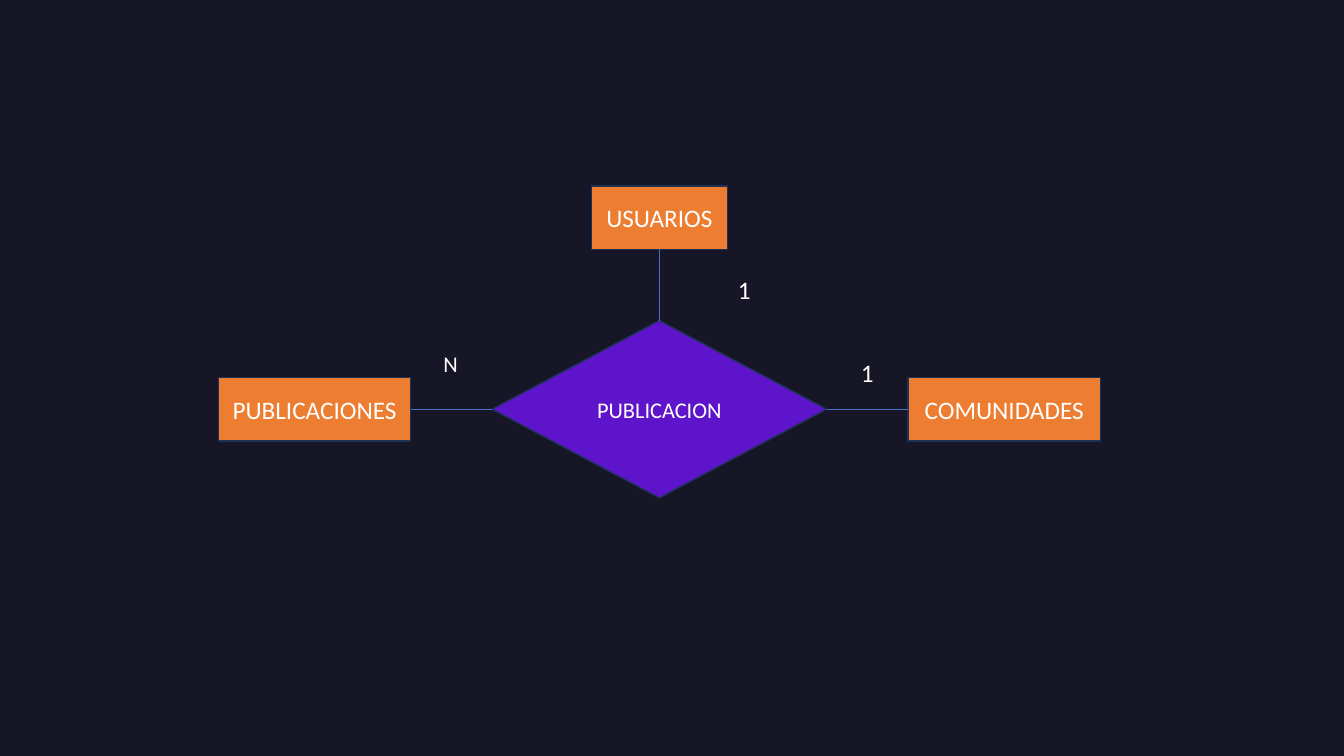
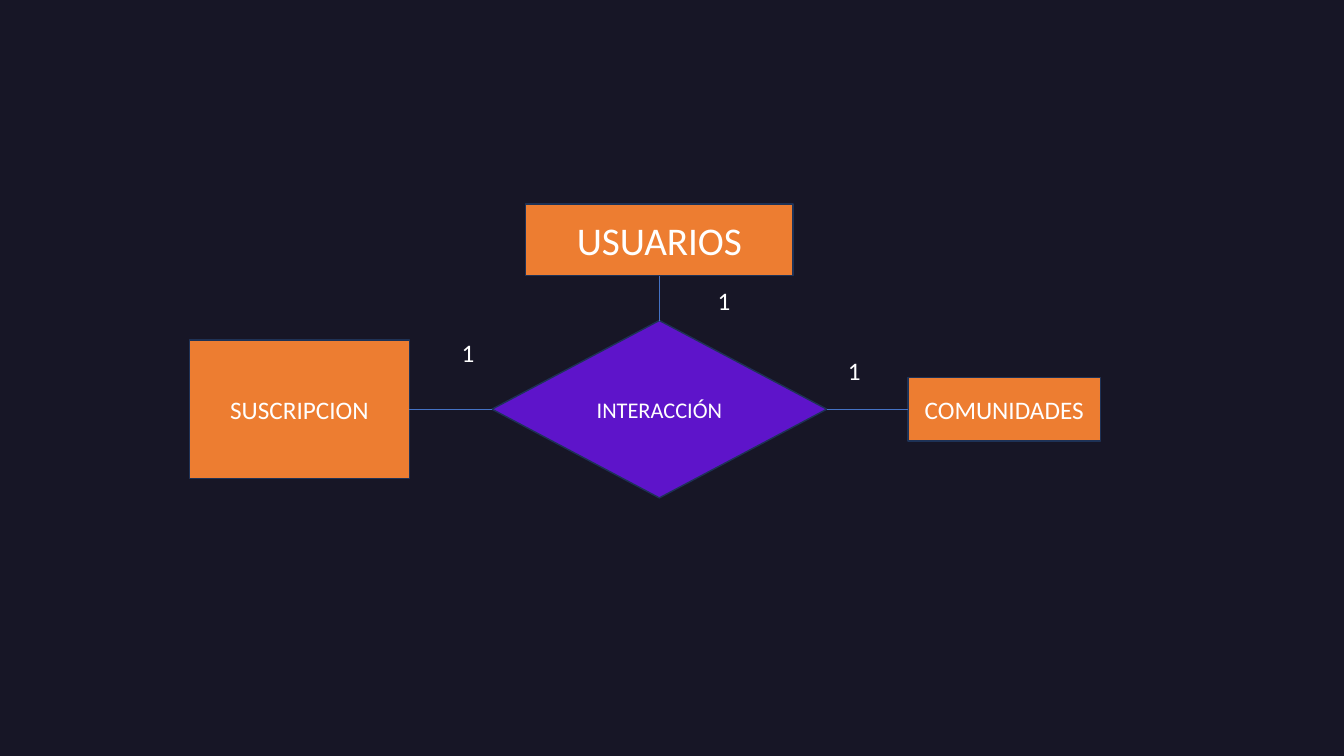
"""Build two entity-relationship diagrams, one per slide."""
from lxml import etree
from pptx import Presentation
from pptx import util as u
from pptx.dml import color
from pptx.enum import shapes, text
from pptx.oxml import ns

COLORS = {
    "background": "171626",
    "entity": "ED7D31",
    "relation": "5E14CA",
    "outline": "1E3256",
    "connector": "4472C4",
    "text": "FFFFFF",
}
FONT = "Calibri"
AXIS_X, AXIS_Y = 6.54, 4.06
TOP, LEFT, BOTTOM, RIGHT = range(4)


def rgb(name):
    """Return the palette colour with this name."""
    return color.RGBColor.from_string(COLORS[name])


def write(shape, words, size, alignment):
    """Put one styled paragraph into a shape."""
    shape.text_frame.word_wrap = True
    paragraph = shape.text_frame.paragraphs[0]
    paragraph.text = words
    paragraph.alignment = alignment
    paragraph.font.name = FONT
    paragraph.font.size = u.Pt(size)
    paragraph.font.color.rgb = rgb("text")


def add_node(slide, preset, fill, words, center, extent, size):
    """Add a filled shape around a centre point."""
    (x, y), (width, height) = center, extent
    node = slide.shapes.add_shape(
        preset, u.Inches(x - width / 2), u.Inches(y - height / 2),
        u.Inches(width), u.Inches(height))
    node.shadow.inherit = False
    node.fill.solid()
    node.fill.fore_color.rgb = rgb(fill)
    node.line.color.rgb = rgb("outline")
    node.line.width = u.Pt(1)
    node.text_frame.vertical_anchor = text.MSO_ANCHOR.MIDDLE
    write(node, words, size, text.PP_ALIGN.CENTER)
    return node


def add_entity(slide, words, center, extent, size=18):
    """Add an entity rectangle."""
    return add_node(slide, shapes.MSO_SHAPE.RECTANGLE, "entity",
                    words, center, extent, size)


def add_relation(slide, words):
    """Add the relationship diamond at the crossing of the axes."""
    return add_node(slide, shapes.MSO_SHAPE.DIAMOND, "relation",
                    words, (AXIS_X, AXIS_Y), (3.32, 1.76), 16)


def connect(slide, relation, relation_side, entity, entity_side):
    """Join a diamond corner to the middle of an entity's side."""
    connector = slide.shapes.add_connector(
        shapes.MSO_CONNECTOR.STRAIGHT, 0, 0, 0, 0)
    connector.begin_connect(relation, relation_side)
    connector.end_connect(entity, entity_side)
    connector.line.color.rgb = rgb("connector")
    connector.line.width = u.Pt(0.5)
    etree.SubElement(connector._element.spPr, ns.qn("a:effectLst"))


def add_cardinality(slide, words, left, top, size=18):
    """Add a cardinality label."""
    label = slide.shapes.add_textbox(
        u.Inches(left), u.Inches(top), u.Inches(0.35), u.Inches(0.4))
    write(label, words, size, text.PP_ALIGN.LEFT)


def add_diagram(presentation, relation_words, top, left, cardinalities):
    """Add a slide with three entities around one relationship."""
    slide = presentation.slides.add_slide(presentation.slide_layouts[6])
    slide.background.fill.solid()
    slide.background.fill.fore_color.rgb = rgb("background")
    top_entity = add_entity(slide, *top)
    left_entity = add_entity(slide, *left)
    right_entity = add_entity(slide, "COMUNIDADES", (9.96, AXIS_Y), (1.91, 0.63))
    relation = add_relation(slide, relation_words)
    connect(slide, relation, TOP, top_entity, BOTTOM)
    connect(slide, relation, LEFT, left_entity, RIGHT)
    connect(slide, relation, RIGHT, right_entity, LEFT)
    for cardinality in cardinalities:
        add_cardinality(slide, *cardinality)


def main():
    """Build and save the presentation."""
    presentation = Presentation()
    presentation.slide_width = u.Inches(13.33)
    presentation.slide_height = u.Inches(7.5)
    add_diagram(
        presentation, "PUBLICACION",
        top=("USUARIOS", (AXIS_X, 2.16), (1.35, 0.63)),
        left=("PUBLICACIONES", (3.12, AXIS_Y), (1.91, 0.63)),
        cardinalities=[("1", 7.22, 2.67), ("N", 4.3, 3.42, 16), ("1", 8.44, 3.5)])
    add_diagram(
        presentation, "INTERACCIÓN",
        top=("USUARIOS", (AXIS_X, 2.38), (2.65, 0.71), 28),
        left=("SUSCRIPCION", (2.97, AXIS_Y), (2.18, 1.37)),
        cardinalities=[("1", 7.02, 2.78), ("1", 4.48, 3.3), ("1", 8.31, 3.48)])
    presentation.save("out.pptx")


if __name__ == "__main__":
    main()
